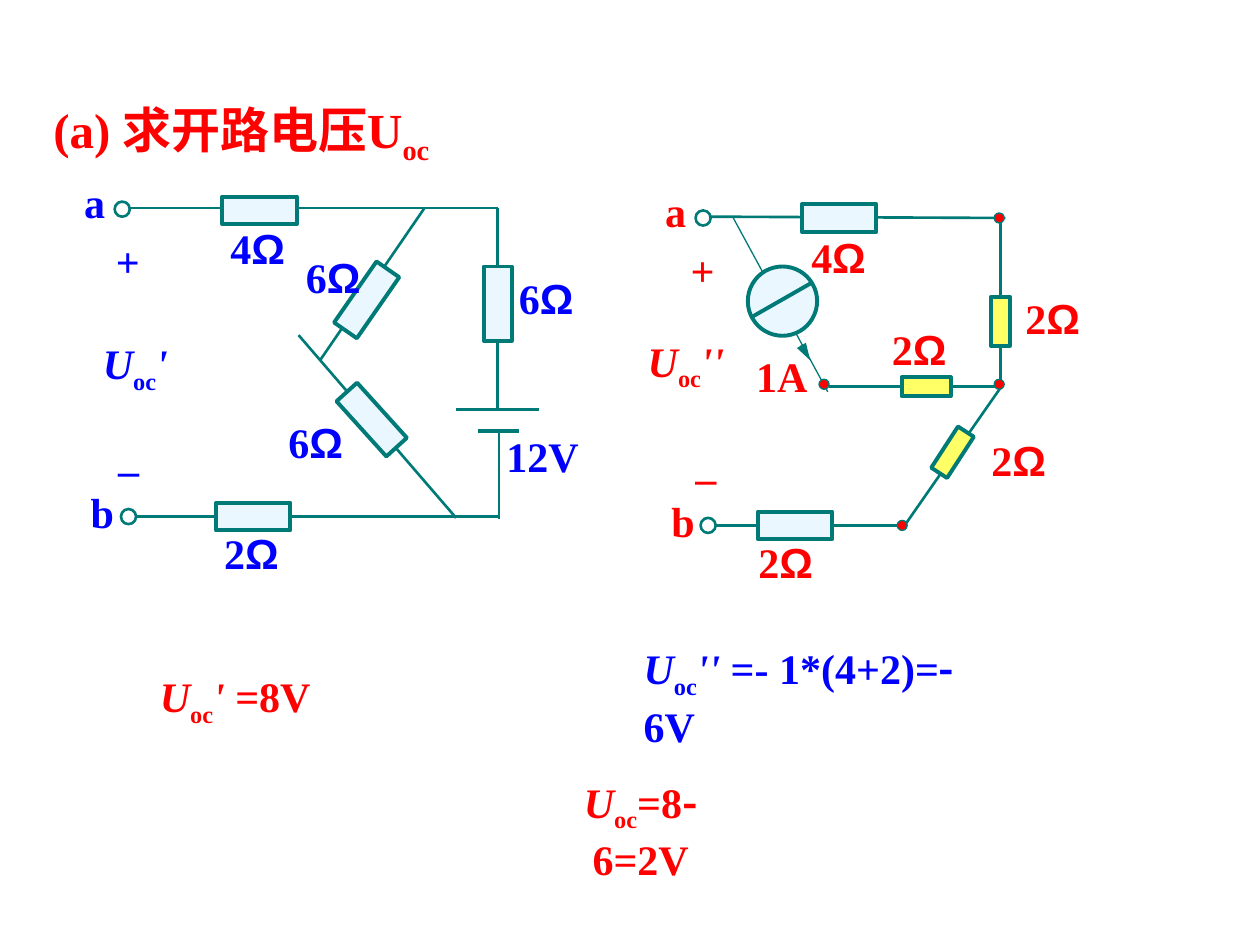
from typing import NamedTuple

from lxml import etree
from pptx import Presentation
from pptx.dml.color import RGBColor
from pptx.enum.shapes import MSO_CONNECTOR, MSO_SHAPE
from pptx.enum.text import MSO_ANCHOR, MSO_AUTO_SIZE, PP_ALIGN
from pptx.oxml.ns import qn
from pptx.util import Inches, Pt

RECT, OVAL = MSO_SHAPE.RECTANGLE, MSO_SHAPE.OVAL
LINE = MSO_CONNECTOR.STRAIGHT
MIDDLE, TOP = MSO_ANCHOR.MIDDLE, MSO_ANCHOR.TOP
LEFT, CENTER = PP_ALIGN.LEFT, PP_ALIGN.CENTER

RED, BLUE, TEAL = "FF0000", "0000FF", "007A77"
PALE, YELLOW = "EBF7FF", "FFFF66"
SERIF, SANS, CJK = "Times New Roman", "Arial", "Noto Sans CJK SC"


class Piece(NamedTuple):
    text: str
    font: str = SERIF
    italic: bool = False
    sub: bool = False


class Label(NamedTuple):
    x: float
    y: float
    w: float
    h: float
    pieces: list[Piece]
    align: PP_ALIGN = CENTER
    wrap: bool = False
    pad: tuple[float, float] = (0.1, 0.1)


class Wire(NamedTuple):
    x1: float
    y1: float
    x2: float
    y2: float
    width: float = 1.5
    start: tuple[str, int] | None = None
    end: tuple[str, int] | None = None


class Part(NamedTuple):
    """A resistor, given by its centre."""
    name: str
    x: float
    y: float
    w: float = 0.59
    h: float = 0.22
    turn: float = 0
    fill: str = PALE


def volt(mark: str, rest: str = "") -> list[Piece]:
    """U with subscript oc, its prime marks and the upright rest."""
    pieces = [Piece("U", italic=True), Piece("oc", sub=True)]
    if mark:
        pieces.append(Piece(mark, italic=True))
    if rest:
        pieces.append(Piece(rest))
    return pieces


def plain(x: float, y: float, w: float, text: str, align=CENTER) -> Label:
    return Label(x, y, w, 0.5, [Piece(text)], align)


def ohm(x: float, y: float, w: float, value: str) -> Label:
    return Label(x, y, w, 0.5, [Piece(value), Piece("Ω", SANS)], LEFT)


LABELS = {
    BLUE: [
        ohm(1.68, 4.14, 0.91, "2"), ohm(1.73, 1.72, 0.98, "4"),
        ohm(2.33, 1.95, 1.06, "6"), ohm(2.19, 3.26, 0.71, "6"),
        ohm(4.02, 2.11, 0.81, "6"), plain(3.92, 3.37, 0.9, "12V", LEFT),
        plain(0.62, 3.81, 0.38, "b"), plain(0.57, 1.35, 0.36, "a"),
        plain(0.82, 1.82, 0.39, "+"), plain(0.84, 3.47, 0.36, "–"),
        Label(0.61, 2.63, 0.93, 0.56, volt("'")),
        Label(5.01, 5.25, 3.14, 0.56,
              volt("'' ", "=- 1*(4+2)=") + [Piece("- ", CJK), Piece("6V")],
              LEFT, True, (0.1, 0.3)),
    ],
    RED: [
        ohm(5.92, 4.21, 0.91, "2"), ohm(6.34, 1.79, 0.98, "4"),
        ohm(6.98, 2.52, 0.68, "2"), ohm(7.77, 3.4, 0.71, "2"),
        ohm(8.04, 2.27, 0.81, "2"), plain(5.9, 2.73, 0.61, "1A"),
        plain(5.23, 3.88, 0.38, "b"), plain(5.18, 1.42, 0.36, "a"),
        plain(5.38, 1.89, 0.39, "+"), plain(5.42, 3.53, 0.36, "–"),
        Label(4.98, 2.61, 0.93, 0.56, volt("''")),
        Label(1.17, 5.27, 1.39, 0.56, volt("' ", "=8V"), LEFT, pad=(0.1, 0)),
        Label(4.16, 6.31, 1.85, 0.56,
              volt("", "=8") + [Piece("-", CJK), Piece("6=2V")],
              CENTER, True, (0.2, 0.2)),
    ],
}

# Wires that run beneath the parts
UNDER = [
    Wire(3.37, 1.65, 2.54, 2.86), Wire(2.37, 2.66, 3.62, 4.11),
    Wire(1.03, 1.65, 3.95, 1.65), Wire(1.08, 4.1, 3.97, 4.1),
    Wire(5.64, 1.72, 7.98, 1.73), Wire(5.68, 4.17, 7.18, 4.17),
    Wire(5.82, 1.73, 6.57, 3.11, 0.75), Wire(7.18, 4.17, 7.96, 3.05),
]
PARTS = [
    Part("left 4", 2.06, 1.67), Part("left 2", 2.01, 4.1),
    Part("upper 6", 2.91, 2.38, turn=124.8),
    Part("lower 6", 2.95, 3.33, turn=47.9),
    Part("right 6", 3.95, 2.41, 0.22, 0.59),
    Part("right 4", 6.66, 1.73), Part("right 2", 6.31, 4.17),
    Part("side 2", 7.94, 2.55, 0.15, 0.39, fill=YELLOW),
    Part("mid 2", 7.35, 3.07, 0.39, 0.15, fill=YELLOW),
    Part("slant 2", 7.56, 3.59, 0.15, 0.39, 33, YELLOW),
]
JOINED = [
    Wire(3.95, 1.65, 3.95, 2.11, end=("right 6", 0)),
    Wire(3.95, 2.7, 3.95, 3.25, start=("right 6", 2)),
    Wire(3.62, 3.25, 4.28, 3.25), Wire(3.79, 3.42, 4.12, 3.42, 2.25),
    Wire(3.96, 3.42, 3.96, 4.12),
    Wire(7.94, 1.73, 7.94, 2.36, end=("side 2", 0)),
    Wire(7.94, 2.75, 7.94, 3.08, start=("side 2", 2)),
    Wire(6.58, 3.07, 7.16, 3.07, end=("mid 2", 1)),
    Wire(7.54, 3.07, 7.94, 3.07, start=("mid 2", 3)),
]
ENDS = [(0.97, 1.66), (1.02, 4.1), (5.58, 1.73), (5.62, 4.17)]
NODES = [(6.54, 3.05), (7.16, 4.17), (7.93, 1.73), (7.93, 3.05)]


def color(code: str) -> RGBColor:
    return RGBColor.from_string(code)


def write(frame, pieces: list[Piece], code: str, size: float) -> None:
    para = frame.paragraphs[0]
    para.space_before = Pt(0)
    for piece in pieces:
        run = para.add_run()
        run.text = piece.text
        font = run.font
        font.name, font.size, font.bold = piece.font, Pt(size), True
        font.italic = piece.italic
        font.color.rgb = color(code)
        props = font._element
        if piece.sub:
            props.set("baseline", "-25000")
        etree.SubElement(props, qn("a:ea")).set("typeface", CJK)


def put_label(slide, label: Label, code: str) -> None:
    box = slide.shapes.add_textbox(*map(Inches, label[:4]))
    frame = box.text_frame
    frame.word_wrap = label.wrap
    frame.margin_left, frame.margin_right = map(Inches, label.pad)
    frame.vertical_anchor = TOP if label.h == 0.5 and label.align == LEFT else MIDDLE
    frame.paragraphs[0].alignment = label.align
    write(frame, label.pieces, code, 24)


def put_shape(slide, kind, x, y, w, h, fill: str = "", width: float = 2.25):
    """Draw a shape around its centre."""
    shape = slide.shapes.add_shape(
        kind, *map(Inches, (x - w / 2, y - h / 2, w, h)))
    shape.shadow.inherit = False
    if fill:
        shape.fill.solid()
        shape.fill.fore_color.rgb = color(fill)
    else:
        shape.fill.background()
    shape.line.color.rgb = color(TEAL)
    shape.line.width = Pt(width)
    return shape


def put_wire(slide, wire: Wire, parts: dict):
    line = slide.shapes.add_connector(LINE, *map(Inches, wire[:4]))
    line.line.color.rgb = color(TEAL)
    line.line.width = Pt(wire.width)
    etree.SubElement(line._element.spPr, qn("a:effectLst"))
    if wire.start:
        line.begin_connect(parts[wire.start[0]], wire.start[1])
    if wire.end:
        line.end_connect(parts[wire.end[0]], wire.end[1])
    return line


def put_title(slide) -> None:
    title = slide.shapes.title
    title.left, title.top, title.width, title.height = map(
        Inches, (0.23, 0.74, 3.37, 0.63))
    frame = title.text_frame
    frame.auto_size, frame.word_wrap = MSO_AUTO_SIZE.NONE, False
    frame.margin_left = frame.margin_right = Inches(0.02)
    frame.vertical_anchor = MIDDLE
    frame.paragraphs[0].alignment = CENTER
    write(frame, [Piece("(a) 求开路电压U"), Piece("oc", sub=True)], RED, 28)


def main() -> None:
    deck = Presentation()
    deck.slide_width, deck.slide_height = Inches(10), Inches(7.5)
    slide = deck.slides.add_slide(deck.slide_layouts[5])
    put_title(slide)
    parts = {}
    for wire in UNDER:
        put_wire(slide, wire, parts)
    for part in PARTS:
        shape = put_shape(slide, RECT, *part[1:5], part.fill)
        shape.rotation = part.turn
        parts[part.name] = shape
    for wire in JOINED:
        put_wire(slide, wire, parts)
    arrow = put_wire(slide, Wire(6.36, 2.74, 6.43, 2.86), parts)
    head = etree.SubElement(arrow.line._get_or_add_ln(), qn("a:tailEnd"))
    head.attrib.update({"type": "triangle", "len": "lg"})
    put_shape(slide, OVAL, 6.21, 2.39, 0.55, 0.55, PALE)
    put_wire(slide, Wire(5.96, 2.52, 6.45, 2.24, 2.25), parts)
    for x, y in ENDS:
        put_shape(slide, OVAL, x, y, 0.12, 0.12, width=1.5)
    for x, y in NODES:
        put_shape(slide, OVAL, x, y, 0.08, 0.08, RED, 0.75)
    for code, labels in LABELS.items():
        for label in labels:
            put_label(slide, label, code)
    deck.save("out.pptx")


if __name__ == "__main__":
    main()
